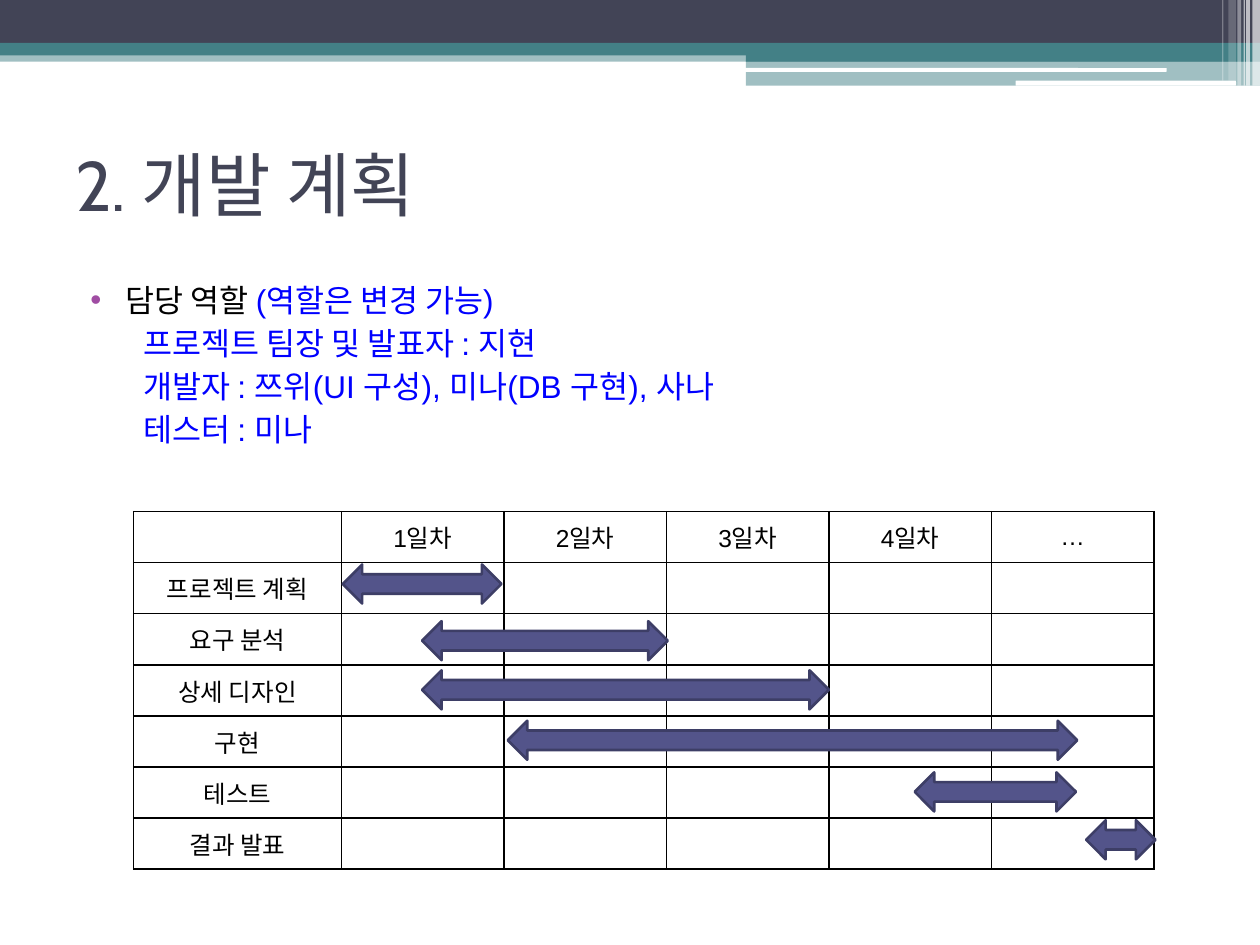
"""Build the development plan slide with team roles and a schedule chart."""
from dataclasses import dataclass

import pptx
import pptx.dml.color
import pptx.enum.shapes
import pptx.enum.text
import pptx.oxml
import pptx.oxml.ns
import pptx.util
from lxml import etree

Inches = pptx.util.Inches
Pt = pptx.util.Pt
RGBColor = pptx.dml.color.RGBColor
Shape = pptx.enum.shapes.MSO_SHAPE
Align = pptx.enum.text.PP_ALIGN
Anchor = pptx.enum.text.MSO_ANCHOR
qn = pptx.oxml.ns.qn

SLATE = RGBColor(0x42, 0x44, 0x56)
TEAL = RGBColor(0x43, 0x80, 0x86)
WHITE = RGBColor(0xFF, 0xFF, 0xFF)
BLACK = RGBColor(0x00, 0x00, 0x00)
BLUE = RGBColor(0x00, 0x00, 0xFF)
PURPLE = RGBColor(0xA0, 0x4D, 0xA3)
ARROW_FILL = RGBColor(0x53, 0x54, 0x8A)
ARROW_LINE = RGBColor(0x3D, 0x3E, 0x66)


@dataclass
class Band:
    left: float
    top: float
    width: float
    height: float
    color: RGBColor
    opacity: int = 100
    rounded: bool = False


@dataclass
class Span:
    text: str
    color: RGBColor


@dataclass
class Task:
    name: str
    left: float
    top: float
    width: float


BANDS = [
    Band(0, 0.4, 10, 0.09, TEAL, 50),
    Band(0, 0, 10, 0.34, SLATE),
    Band(0, 0.34, 10, 0.1, TEAL),
    Band(5.92, 0.39, 4.08, 0.1, TEAL),
    Band(5.92, 0.48, 4.08, 0.2, TEAL, 50),
    Band(5.91, 0.54, 3.35, 0.03, WHITE, rounded=True),
    Band(8.06, 0.64, 1.75, 0.04, WHITE, rounded=True),
    Band(9.94, 0, 0.06, 0.68, WHITE, 65),
    Band(9.89, 0, 0.03, 0.68, WHITE, 65),
    Band(9.87, 0, 0.01, 0.68, WHITE, 60),
    Band(9.82, 0, 0.03, 0.68, WHITE, 40),
    Band(9.75, 0, 0.06, 0.64, WHITE, 20),
    Band(9.7, 0, 0.01, 0.64, WHITE, 30),
]

ROLES = [
    [Span("담당 역할 ", BLACK), Span("(역할은 변경 가능)", BLUE)],
    [Span("프로젝트 팀장 및 발표자 : 지현", BLUE)],
    [Span("개발자 : 쯔위(UI 구성), 미나(DB 구현), 사나", BLUE)],
    [Span("테스터 : 미나", BLUE)],
]

DAYS = ["1일차", "2일차", "3일차", "4일차", "…"]
TASKS = [
    Task("프로젝트 계획", 2.72, 4.48, 1.26),
    Task("요구 분석", 3.35, 4.93, 1.95),
    Task("상세 디자인", 3.35, 5.32, 3.23),
    Task("구현", 4.03, 5.72, 4.52),
    Task("테스트", 7.26, 6.13, 1.28),
    Task("결과 발표", 8.62, 6.51, 0.55),
]


def draw_shape(page, kind, left: float, top: float, width: float, height: float, color: RGBColor):
    shape = page.shapes.add_shape(kind, Inches(left), Inches(top), Inches(width), Inches(height))
    shape.shadow.inherit = False
    shape.fill.solid()
    shape.fill.fore_color.rgb = color
    return shape


def draw_band(page, band: Band) -> None:
    kind = Shape.ROUNDED_RECTANGLE if band.rounded else Shape.RECTANGLE
    shape = draw_shape(page, kind, band.left, band.top, band.width, band.height, band.color)
    shape.line.fill.background()
    if band.opacity < 100:
        color = shape._element.spPr.find(qn("a:solidFill"))[0]
        etree.SubElement(color, qn("a:alpha")).set("val", str(band.opacity * 1000))


def draw_arrow(page, task: Task) -> None:
    arrow = draw_shape(page, Shape.LEFT_RIGHT_ARROW, task.left, task.top, task.width, 0.31, ARROW_FILL)
    arrow.line.color.rgb = ARROW_LINE
    arrow.line.width = Pt(1.5)


def add_span(para, text: str, size: int, font: str, color: RGBColor) -> None:
    run = para.add_run()
    run.text = text
    run.font.size = Pt(size)
    run.font.name = font
    run.font.color.rgb = color


def add_text_box(page, left: float, top: float, width: float, height: float):
    box = page.shapes.add_textbox(Inches(left), Inches(top), Inches(width), Inches(height))
    box.text_frame.word_wrap = True
    return box.text_frame


def draw_title(page) -> None:
    frame = add_text_box(page, 0.5, 0.99, 9, 0.93)
    frame.vertical_anchor = Anchor.MIDDLE
    add_span(frame.paragraphs[0], "2. 개발 계획", 40, "Cabin", SLATE)


def set_indent(para, margin: float, first: float, bullet: bool) -> None:
    properties = para._p.get_or_add_pPr()
    properties.set("marL", str(Inches(margin)))
    properties.set("indent", str(Inches(first)))
    if bullet:
        color = etree.SubElement(properties, qn("a:buClr"))
        etree.SubElement(color, qn("a:srgbClr")).set("val", str(PURPLE))
        etree.SubElement(properties, qn("a:buFont")).set("typeface", "Arial")
        etree.SubElement(properties, qn("a:buChar")).set("char", "•")


def draw_roles(page) -> None:
    frame = add_text_box(page, 0.5, 2.18, 9, 5.01)
    for index, spans in enumerate(ROLES):
        para = frame.add_paragraph() if index else frame.paragraphs[0]
        para.space_before = Pt(3)
        if index:
            set_indent(para, 0.54, 0, False)
        else:
            set_indent(para, 0.4, -0.28, True)
        for span in spans:
            add_span(para, span.text, 18, "Arial", span.color)


def style_cell(cell) -> None:
    cell.fill.background()
    cell.vertical_anchor = Anchor.MIDDLE
    cell.margin_top = cell.margin_bottom = Inches(0.03)
    properties = cell._tc.get_or_add_tcPr()
    for index, side in enumerate(("a:lnL", "a:lnR", "a:lnT", "a:lnB")):
        border = etree.Element(qn(side), w=str(Pt(1)))
        fill = etree.SubElement(border, qn("a:solidFill"))
        etree.SubElement(fill, qn("a:srgbClr")).set("val", str(BLACK))
        properties.insert(index, border)


def draw_schedule(page) -> None:
    rows = [["", *DAYS]] + [[task.name] + [""] * len(DAYS) for task in TASKS]
    frame = page.shapes.add_table(
        len(rows), len(rows[0]), Inches(1.06), Inches(4.06), Inches(8.11), Inches(2.84))
    table = frame.table
    for index, column in enumerate(table.columns):
        column.width = Inches(1.29 if index else 1.65)
    for row, labels in zip(table.rows, rows):
        row.height = Inches(2.84 / len(rows))
        for cell, label in zip(row.cells, labels):
            style_cell(cell)
            para = cell.text_frame.paragraphs[0]
            para.alignment = Align.CENTER
            if label:
                add_span(para, label, 14, "Arial", BLACK)


def main() -> None:
    deck = pptx.Presentation()
    deck.slide_width = Inches(10)
    deck.slide_height = Inches(7.5)
    page = deck.slides.add_slide(deck.slide_layouts[6])
    for band in BANDS:
        draw_band(page, band)
    draw_title(page)
    draw_schedule(page)
    draw_roles(page)
    for task in TASKS:
        draw_arrow(page, task)
    deck.save("out.pptx")


if __name__ == "__main__":
    main()
